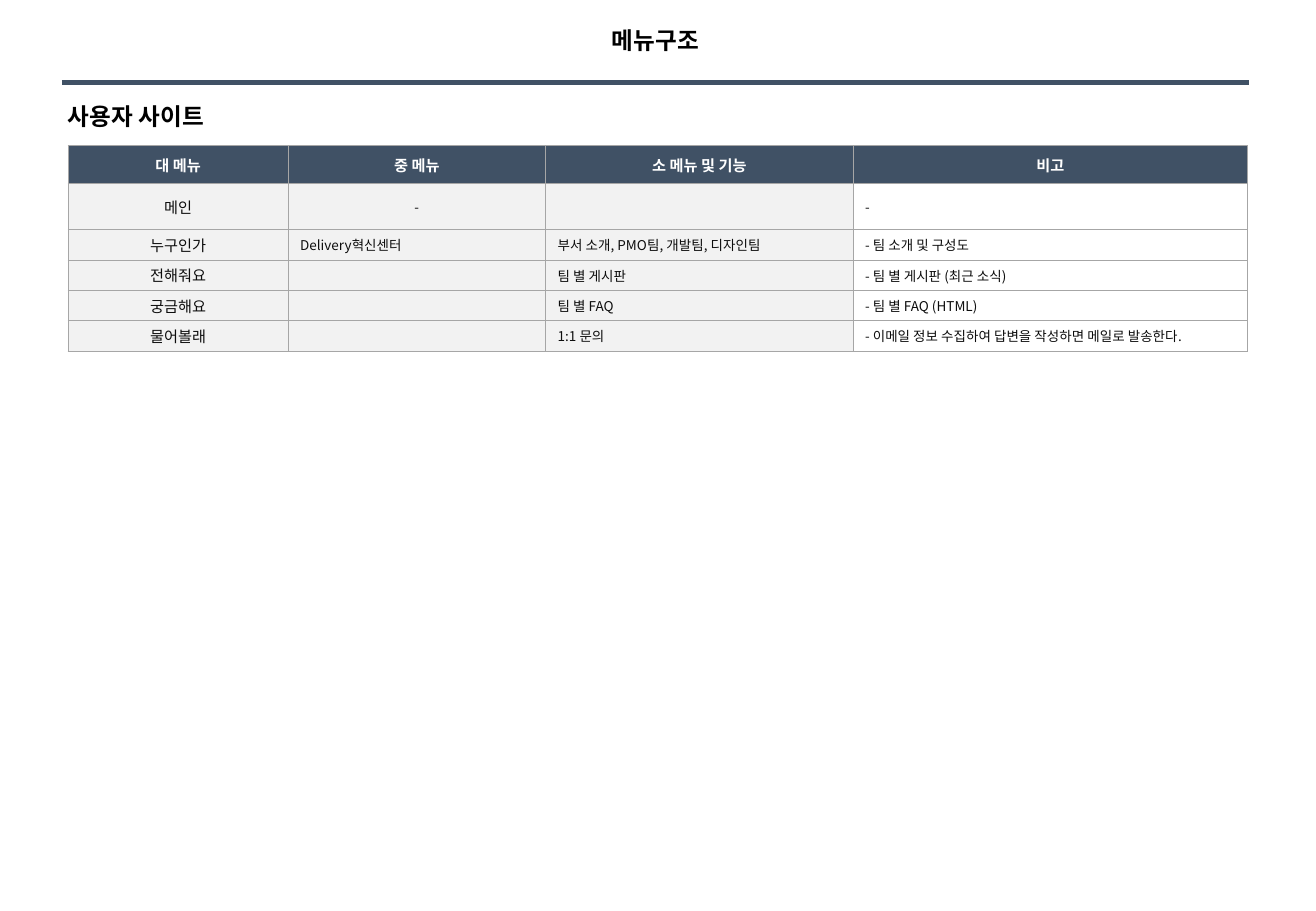
import pptx
import pptx.util
import pptx.dml.color
import pptx.enum.text
import pptx.enum.shapes
import pptx.oxml
import pptx.oxml.ns
from lxml import etree

Inches = pptx.util.Inches
Pt = pptx.util.Pt
RGBColor = pptx.dml.color.RGBColor
Align = pptx.enum.text.PP_ALIGN
Anchor = pptx.enum.text.MSO_ANCHOR
qn = pptx.oxml.ns.qn

NAVY = RGBColor(0x40, 0x51, 0x65)
GRAY = RGBColor(0xA6, 0xA6, 0xA6)
PALE = RGBColor(0xF2, 0xF2, 0xF2)
WHITE = RGBColor(0xFF, 0xFF, 0xFF)
BLACK = RGBColor(0, 0, 0)
INK = RGBColor(0x0D, 0x0D, 0x0D)
FONT = "Noto Sans CJK KR"


def write(frame, text, size=14, color=BLACK, bold=False, align=Align.LEFT):
    para = frame.paragraphs[0]
    para.alignment = align
    if not text:
        # An empty cell keeps its row low with a small end mark
        etree.SubElement(para._p, qn("a:endParaRPr"), sz=str(size * 100))
        return
    run = para.add_run()
    run.text = text
    run.font.name = FONT
    run.font.size = Pt(size)
    run.font.bold = bold
    run.font.color.rgb = color
    etree.SubElement(run._r.get_or_add_rPr(), qn("a:ea"), typeface=FONT)


deck = pptx.Presentation()
deck.slide_width = Inches(10.83)
deck.slide_height = Inches(7.5)
slide = deck.slides.add_slide(deck.slide_layouts[5])

# Title
title = slide.shapes.title
title.left, title.top = Inches(0.79), Inches(0.16)
title.width, title.height = Inches(9.21), Inches(0.34)
title.text_frame.auto_size = pptx.enum.text.MSO_AUTO_SIZE.NONE
title.text_frame.vertical_anchor = Anchor.MIDDLE
write(title.text_frame, "메뉴구조", bold=True, align=Align.CENTER)

# Section heading
head = slide.shapes.add_textbox(Inches(0.46), Inches(0.79), Inches(1.45), Inches(0.34))
head.text_frame.word_wrap = False
write(head.text_frame, "사용자 사이트", bold=True)

# Menu table
ROWS = [
    ("대 메뉴", "중 메뉴", "소 메뉴 및 기능", "비고"),
    ("메인", "-", "", "-"),
    ("누구인가", "Delivery혁신센터", "부서 소개, PMO팀, 개발팀, 디자인팀", "- 팀 소개 및 구성도"),
    ("전해줘요", "", "팀 별 게시판", "- 팀 별 게시판 (최근 소식)"),
    ("궁금해요", "", "팀 별 FAQ", "- 팀 별 FAQ (HTML)"),
    ("물어볼래", "", "1:1 문의", "- 이메일 정보 수집하여 답변을 작성하면 메일로 발송한다."),
]
WIDTHS = [1.81, 2.12, 2.53, 3.25]
HEIGHTS = [0.31, 0.38] + [0.25] * 4

table = slide.shapes.add_table(
    len(ROWS), len(WIDTHS), Inches(0.56), Inches(1.2), Inches(9.71), Inches(1.69)
).table
for col, width in zip(table.columns, WIDTHS):
    col.width = Inches(width)
for row, height in zip(table.rows, HEIGHTS):
    row.height = Inches(height)

for r, texts in enumerate(ROWS):
    for c, text in enumerate(texts):
        cell = table.cell(r, c)
        cell.vertical_anchor = Anchor.MIDDLE
        cell.margin_top = cell.margin_bottom = Inches(0.03)
        top = r == 0
        mid = top or c == 0 or (c == 1 and text == "-")
        write(
            cell.text_frame,
            text,
            size=9 if top or c == 0 else 8,
            color=WHITE if top else INK,
            bold=top,
            align=Align.CENTER if mid else Align.LEFT,
        )
        # Borders come before the fill in the cell's XML
        props = cell._tc.get_or_add_tcPr()
        for side in ("lnL", "lnR", "lnT", "lnB"):
            edge = etree.SubElement(props, qn("a:" + side), w=str(Pt(0.5)))
            paint = etree.SubElement(edge, qn("a:solidFill"))
            etree.SubElement(paint, qn("a:srgbClr"), val=str(GRAY))
        cell.fill.solid()
        cell.fill.fore_color.rgb = NAVY if top else WHITE if c == 3 else PALE

# Rule under the title
rule = slide.shapes.add_connector(
    pptx.enum.shapes.MSO_CONNECTOR.STRAIGHT,
    Inches(0.51), Inches(0.68), Inches(10.28), Inches(0.68),
)
rule.line.color.rgb = NAVY
rule.line.width = Pt(3)
etree.SubElement(rule._element.spPr, qn("a:effectLst"))

deck.save("out.pptx")
